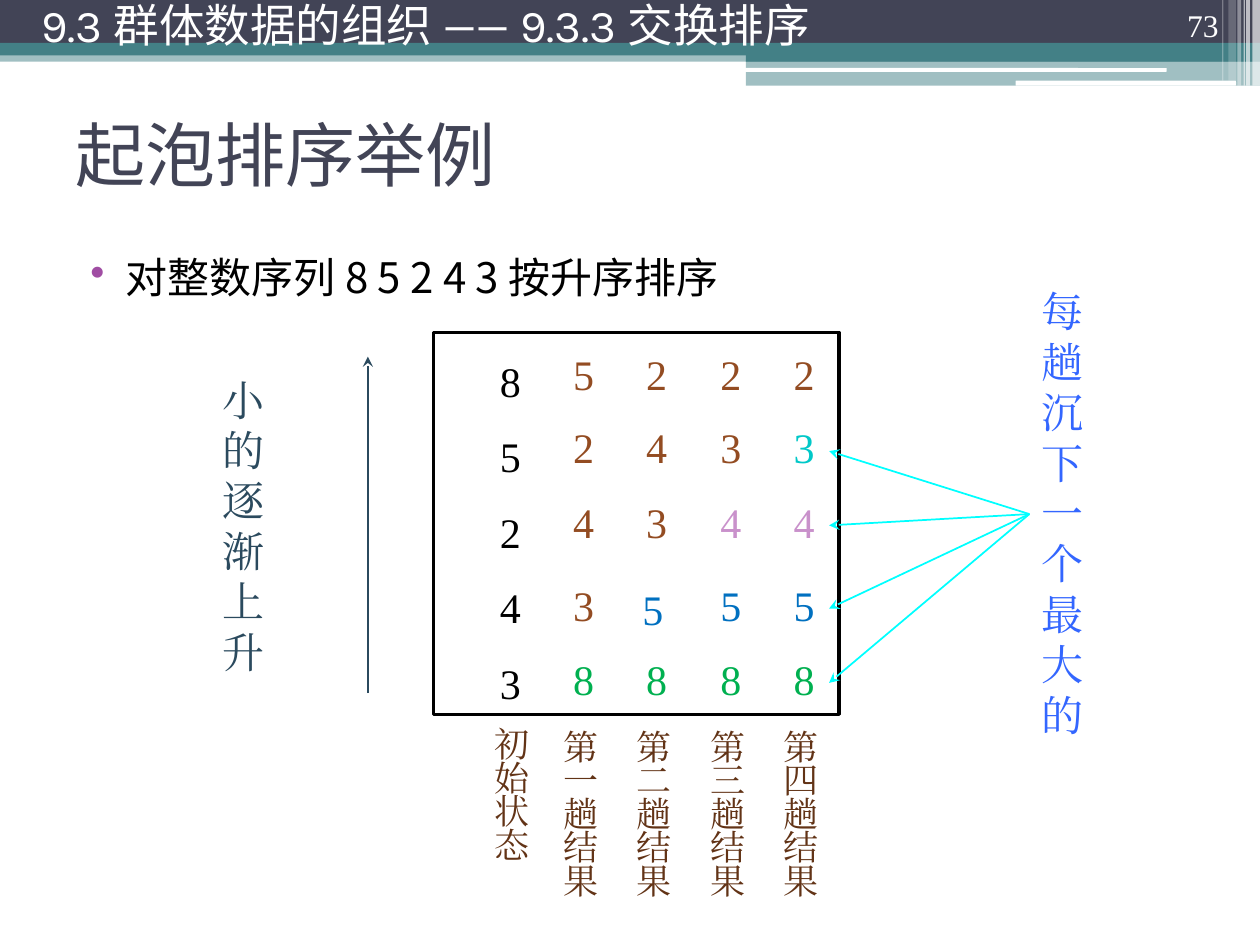
from lxml.etree import SubElement
from pptx import Presentation
from pptx.dml.color import RGBColor
from pptx.enum.shapes import MSO_CONNECTOR, MSO_SHAPE
from pptx.enum.text import MSO_ANCHOR, PP_ALIGN
from pptx.oxml.ns import qn
from pptx.util import Inches, Pt

SANS, SERIF = "Noto Sans CJK SC", "Times New Roman"
NAVY, TEAL, WHITE, BLACK = "424456", "438086", "FFFFFF", "000000"
BROWN, DARK_BROWN, SLATE = "934C22", "623316", "2B4A5E"
CYAN, TURQUOISE, LILAC = "00FFFF", "00C8C8", "C991CB"
BLUE, GREEN, ROYAL, PURPLE = "0070C0", "00B050", "3366FF", "A04DA3"


def color(value):
    return RGBColor.from_string(value)


class SlideBuilder:
    """Hold the text style and the current slide, and add elements to it."""

    def __init__(self, deck, font, size):
        self.font = font
        self.size = size
        self.page = deck.slides.add_slide(deck.slide_layouts[5])

    def span(self, para, text, hue, size=None, font=None):
        span = para.add_run()
        span.text = text
        span.font.size = Pt(size or self.size)
        span.font.name = font or self.font
        span.font.color.rgb = color(hue)
        properties = span._r.get_or_add_rPr()
        SubElement(properties, qn("a:ea"), typeface=font or self.font)

    def title(self, text, left, top, width, height):
        box = self.page.shapes.title
        box.left, box.top = Inches(left), Inches(top)
        box.width, box.height = Inches(width), Inches(height)
        box.text_frame.vertical_anchor = MSO_ANCHOR.MIDDLE
        para = box.text_frame.paragraphs[0]
        para.alignment = PP_ALIGN.LEFT
        self.span(para, text, NAVY, 40, SANS)

    def text(self, lines, left, top, width, height, hue, size=None, font=None,
             wrap=True, spacing=None, anchor=MSO_ANCHOR.TOP, align=PP_ALIGN.LEFT):
        box = self.page.shapes.add_textbox(
            Inches(left), Inches(top), Inches(width), Inches(height))
        frame = box.text_frame
        frame.word_wrap = wrap
        frame.vertical_anchor = anchor
        for index, line in enumerate(lines):
            para = frame.add_paragraph() if index else frame.paragraphs[0]
            para.alignment = align
            if spacing:
                para.line_spacing = spacing
            self.span(para, line, hue, size, font)
        return frame

    def bullet(self, text, left, top, width, height):
        para = self.text([text], left, top, width, height, BLACK, font=SANS).paragraphs[0]
        para.space_after = Pt(12)
        properties = para._p.get_or_add_pPr()
        properties.set("marL", str(Inches(0.4)))
        properties.set("indent", str(Inches(-0.28)))
        tint = SubElement(properties, qn("a:buClr"))
        SubElement(tint, qn("a:srgbClr"), val=PURPLE)
        SubElement(properties, qn("a:buChar"), char="•")

    def block(self, left, top, width, height, fill=None, opacity=100,
              line=None, kind=MSO_SHAPE.RECTANGLE):
        shape = self.page.shapes.add_shape(
            kind, Inches(left), Inches(top), Inches(width), Inches(height))
        shape.shadow.inherit = False
        if fill:
            shape.fill.solid()
            shape.fill.fore_color.rgb = color(fill)
            if opacity < 100:
                tint = shape._element.spPr.find(qn("a:solidFill"))[0]
                SubElement(tint, qn("a:alpha"), val=str(opacity * 1000))
        else:
            shape.fill.background()
        if line:
            shape.line.color.rgb = color(line)
            shape.line.width = Pt(2)
        else:
            shape.line.fill.background()

    def arrow(self, start, finish, hue, pointed_end):
        line = self.page.shapes.add_connector(
            MSO_CONNECTOR.STRAIGHT, *map(Inches, start + finish))
        line.line.color.rgb = color(hue)
        line.line.width = Pt(1)
        properties = line._element.spPr
        SubElement(properties.find(qn("a:ln")), qn(f"a:{pointed_end}"), type="stealth")
        SubElement(properties, qn("a:effectLst"))


def add_banner(slide):
    for left, top, width, height, fill, opacity in [
        (0, 0.4, 10, 0.09, TEAL, 50),
        (0, 0, 10, 0.34, NAVY, 100),
        (0, 0.34, 10, 0.1, TEAL, 100),
        (5.92, 0.39, 4.08, 0.1, TEAL, 100),
        (5.92, 0.48, 4.08, 0.2, TEAL, 50),
    ]:
        slide.block(left, top, width, height, fill, opacity)
    for left, top, width, height in [(5.91, 0.54, 3.35, 0.03), (8.06, 0.64, 1.75, 0.04)]:
        slide.block(left, top, width, height, WHITE, kind=MSO_SHAPE.ROUNDED_RECTANGLE)
    for left, width, height, opacity in [
        (9.94, 0.06, 0.68, 65), (9.89, 0.03, 0.68, 65), (9.87, 0.01, 0.68, 60),
        (9.82, 0.03, 0.68, 40), (9.75, 0.06, 0.64, 20), (9.7, 0.01, 0.64, 30),
    ]:
        slide.block(left, 0, width, height, WHITE, opacity)
    slide.text(["73"], 8.94, 0, 0.83, 0.4, WHITE, 18,
               anchor=MSO_ANCHOR.BOTTOM, align=PP_ALIGN.RIGHT)
    slide.text(["9.3 群体数据的组织 —— 9.3.3 交换排序"], 0.23, 0, 9.1, 0.47, WHITE, 26,
               "Karla", spacing=0.8, anchor=MSO_ANCHOR.MIDDLE)


def add_sorting_passes(slide):
    slide.text("85243", 3.87, 2.57, 0.37, 3.1, BLACK, wrap=False, spacing=1.5)
    lefts = [4.45, 5.03, 5.62, 6.2]
    row_tops = [2.72, 3.3, 3.89, 4.55, 5.14]
    settled = [GREEN, BLUE, LILAC, TURQUOISE]
    for column, digits in enumerate(["52438", "24358", "23458", "23458"]):
        hues = [BROWN] * (4 - column) + settled[column::-1]
        for row, (digit, top, hue) in enumerate(zip(digits, row_tops, hues)):
            nudge = 0.03 if (column, row) == (1, 3) else 0
            slide.text([digit], lefts[column] - nudge, top + nudge,
                       0.37, 0.5, hue, wrap=False)
    slide.block(3.44, 2.64, 3.22, 3.03, line=BLACK)
    slide.text(["初始状态"], 3.83, 5.75, 0.42, 1.17, DARK_BROWN, 20, spacing=0.8)
    for left, ordinal in zip(lefts, "一二三四"):
        slide.text([f"第{ordinal}趟结果"], left - 0.08, 5.77, 0.42, 1.44,
                   DARK_BROWN, 20, spacing=0.8)


def main():
    deck = Presentation()
    deck.slide_width, deck.slide_height = Inches(10), Inches(7.5)
    slide = SlideBuilder(deck, SERIF, 24)
    add_banner(slide)
    slide.title("起泡排序举例", 0.5, 0.63, 9, 1.17)
    slide.bullet("对整数序列 8 5 2 4 3 按升序排序", 0.5, 1.95, 9, 5.24)
    add_sorting_passes(slide)
    slide.text(["小的逐渐上升"], 1.67, 2.92, 0.67, 2.5, SLATE)
    slide.arrow((2.92, 5.5), (2.92, 2.83), SLATE, "tailEnd")
    for target in [5.42, 4.83, 4.17, 3.58]:
        slide.arrow((6.58, target), (8.17, 4.08), CYAN, "headEnd")
    slide.text(["每趟沉下一个最大的"], 8.17, 2.22, 0.58, 3.7, ROYAL)
    deck.save("out.pptx")


if __name__ == "__main__":
    main()
